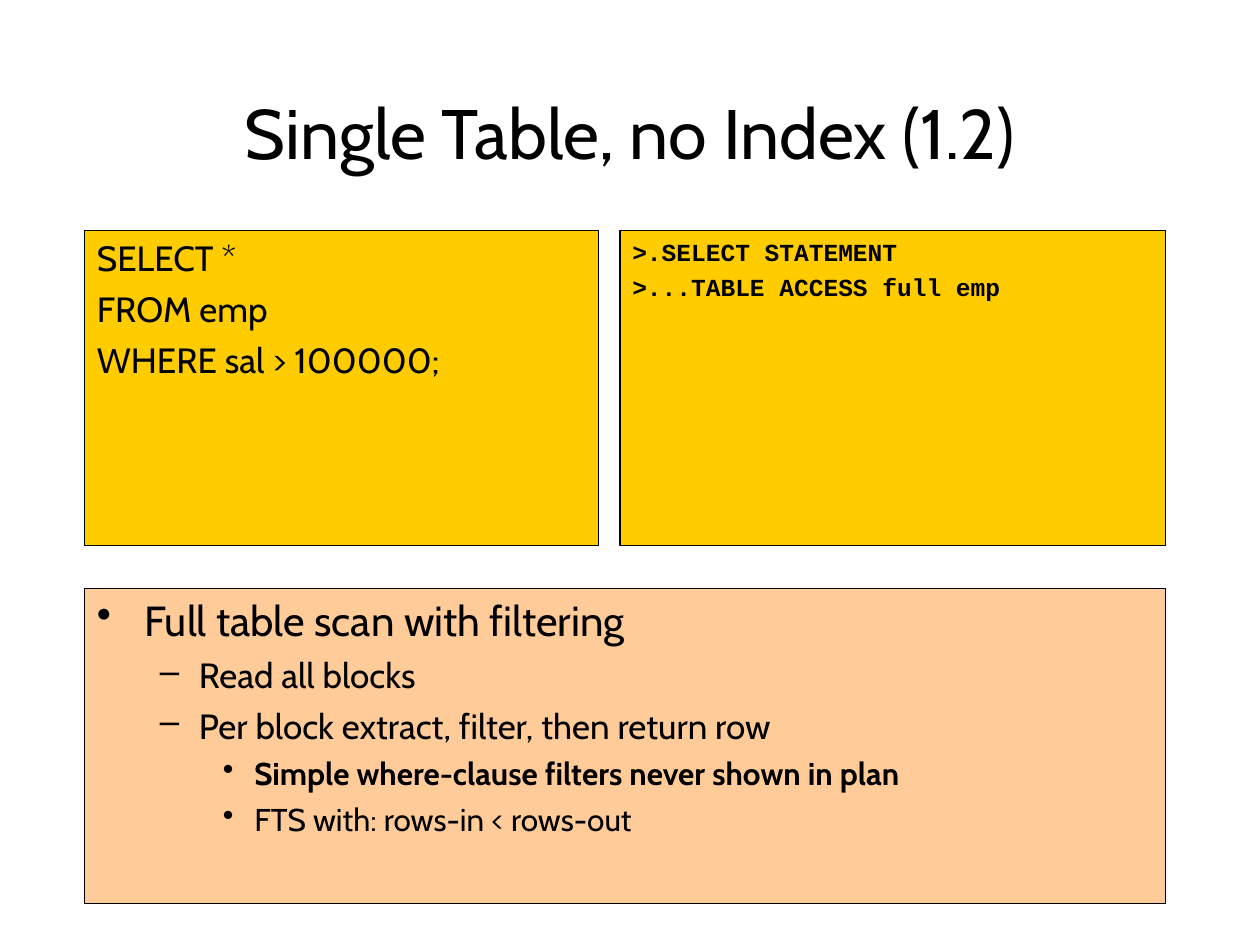
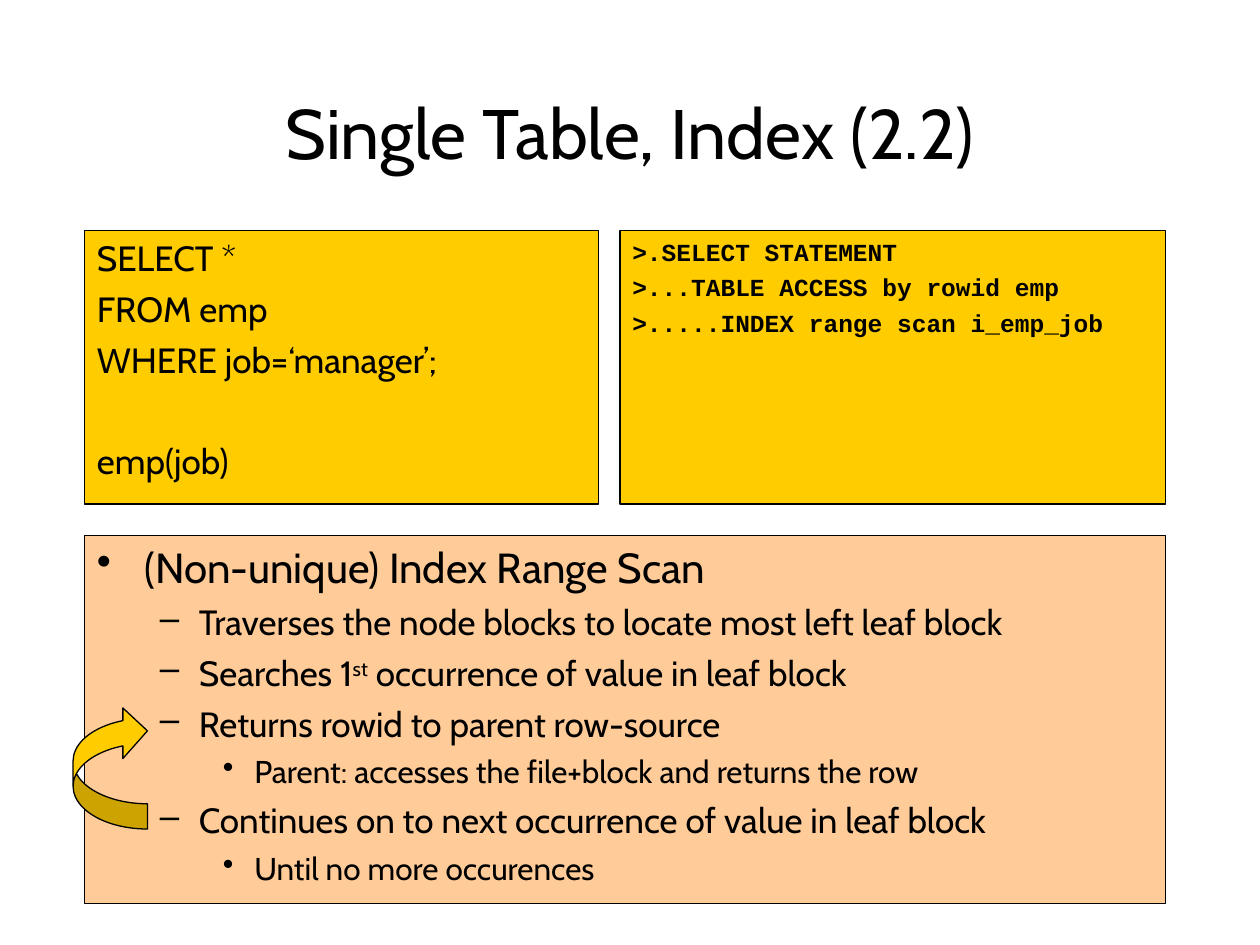
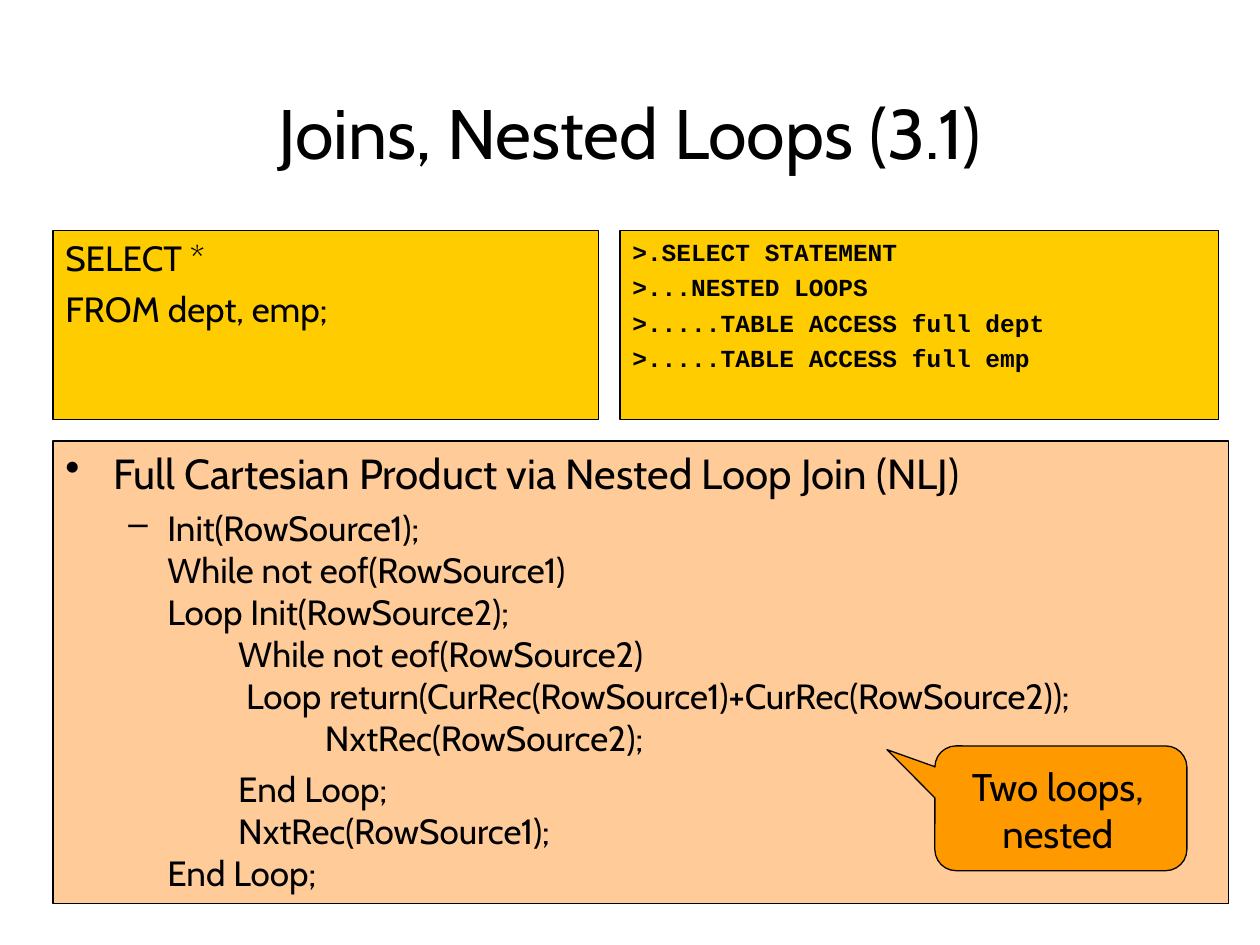
"""Build three slides that explain SQL execution plans."""
from dataclasses import dataclass, replace
from typing import Any

import lxml.etree
import pptx
import pptx.dml.color
import pptx.enum.shapes
import pptx.enum.text
import pptx.oxml.ns
import pptx.util

Inches = pptx.util.Inches
Pt = pptx.util.Pt
Shape = pptx.enum.shapes.MSO_SHAPE
Align = pptx.enum.text.PP_ALIGN
Anchor = pptx.enum.text.MSO_ANCHOR


@dataclass(frozen=True)
class Theme:
    ink: str = "000000"
    panel: str = "FFCC00"
    summary: str = "FFCC99"
    callout: str = "FF9900"
    text_font: str = "Cabin"
    code_font: str = "Courier New"
    title_size: float = 40
    point_size: float = 24
    callout_size: float = 22
    detail_size: float = 20
    remark_size: float = 18
    plan_size: float = 14
    outline: float = 0.75


THEME = Theme()


@dataclass(frozen=True)
class Style:
    size: float
    space_before: float = 0
    margin: float = 0
    hanging: float = 0
    bullet: str = ""
    level: int = 0
    font: str = THEME.text_font
    bold: bool = False
    alignment: Any = Align.LEFT


TITLE = Style(THEME.title_size, alignment=Align.CENTER)
CALLOUT = Style(THEME.callout_size, alignment=Align.CENTER)
QUERY = Style(THEME.detail_size, 5, 0.38, 0.38)
QUERY_APART = replace(QUERY, space_before=34)
PLAN = Style(THEME.plan_size, 3.5, 0.38, 0.38, font=THEME.code_font, bold=True)
POINT = Style(THEME.point_size, 6, 0.38, 0.38, "•")
DETAIL = Style(THEME.detail_size, 5, 0.81, 0.31, "–", 1)
DETAIL_MORE = replace(DETAIL, hanging=0, bullet="")
REMARK = Style(THEME.remark_size, 4.5, 1.25, 0.25, "•", 2)
REMARK_BOLD = replace(REMARK, bold=True)


@dataclass(frozen=True)
class Line:
    text: str
    style: Style
    raised: str = ""
    rest: str = ""


@dataclass(frozen=True)
class Area:
    left: float
    top: float
    width: float
    height: float

    def lengths(self) -> list[int]:
        return [Inches(n) for n in (self.left, self.top, self.width, self.height)]


@dataclass(frozen=True)
class Topic:
    title: str
    query: list[Line]
    plan: list[Line]
    summary: list[Line]
    left: float
    plan_width: float
    panel_height: float
    summary_top: float
    summary_width: float


TITLE_AREA = Area(0.75, 0.67, 8.5, 0.75)
PANEL_TOP, QUERY_RIGHT, PLAN_LEFT, SUMMARY_BOTTOM = 1.83, 4.75, 4.92, 7.17

LOOP_CODE = """Init(RowSource1);
While not eof(RowSource1)
Loop Init(RowSource2);
         While not eof(RowSource2)
          Loop return(CurRec(RowSource1)+CurRec(RowSource2));
                    NxtRec(RowSource2);"""
LOOP_END_CODE = """         End Loop;
         NxtRec(RowSource1);
End Loop;"""

TOPICS = [
    Topic(
        "Single Table, no Index (1.2)",
        [Line("SELECT *", QUERY), Line("FROM emp", QUERY), Line("WHERE sal > 100000;", QUERY)],
        [Line(">.SELECT STATEMENT", PLAN), Line(">...TABLE ACCESS full emp", PLAN)],
        [
            Line("Full table scan with filtering", POINT),
            Line("Read all blocks", DETAIL),
            Line("Per block extract, filter, then return row", DETAIL),
            Line("Simple where-clause filters never shown in plan", REMARK_BOLD),
            Line("FTS with: rows-in < rows-out", REMARK),
        ],
        0.67, 4.33, 2.5, 4.67, 8.58,
    ),
    Topic(
        "Single Table, Index (2.2)",
        [
            Line("SELECT *", QUERY),
            Line("FROM emp", QUERY),
            Line("WHERE job=‘manager’;", QUERY),
            Line("emp(job)", QUERY_APART),
        ],
        [
            Line(">.SELECT STATEMENT", PLAN),
            Line(">...TABLE ACCESS by rowid emp", PLAN),
            Line(">.....INDEX range scan i_emp_job", PLAN),
        ],
        [
            Line("(Non-unique) Index Range Scan", POINT),
            Line("Traverses the node blocks to locate most left leaf block", DETAIL),
            Line("Searches 1", DETAIL, "st", " occurrence of value in leaf block"),
            Line("Returns rowid to parent row-source", DETAIL),
            Line("Parent: accesses the file+block and returns the row", REMARK),
            Line("Continues on to next occurrence of value in leaf block", DETAIL),
            Line("Until no more occurences", REMARK),
        ],
        0.67, 4.33, 2.17, 4.25, 8.58,
    ),
    Topic(
        "Joins, Nested Loops (3.1)",
        [Line("SELECT *", QUERY), Line("FROM dept, emp;", QUERY)],
        [
            Line(">.SELECT STATEMENT", PLAN),
            Line(">...NESTED LOOPS", PLAN),
            Line(">.....TABLE ACCESS full dept", PLAN),
            Line(">.....TABLE ACCESS full emp", PLAN),
        ],
        [
            Line("Full Cartesian Product via Nested Loop Join (NLJ)", POINT),
            Line(LOOP_CODE, DETAIL),
            Line(LOOP_END_CODE, DETAIL_MORE),
        ],
        0.42, 4.75, 1.5, 3.5, 9.33,
    ),
]


def color(value: str) -> pptx.dml.color.RGBColor:
    return pptx.dml.color.RGBColor.from_string(value)


def set_format(target: Any, values: dict[str, Any]) -> None:
    for name, value in values.items():
        setattr(target, name, value)


def add_bullet(properties: Any, mark: str) -> None:
    qn = pptx.oxml.ns.qn
    if not mark:
        lxml.etree.SubElement(properties, qn("a:buNone"))
        return
    bullet_color = lxml.etree.SubElement(properties, qn("a:buClr"))
    lxml.etree.SubElement(bullet_color, qn("a:srgbClr"), val=THEME.ink)
    lxml.etree.SubElement(properties, qn("a:buChar"), char=mark)


def add_span(para: Any, text: str, style: Style) -> Any:
    span = para.add_run()
    span.text = text
    set_format(span.font, {"size": Pt(style.size), "name": style.font, "bold": style.bold})
    span.font.color.rgb = color(THEME.ink)
    return span


def write_lines(box: Any, lines: list[Line], anchor: Any = Anchor.TOP, wrap: bool = True) -> None:
    frame = box.text_frame
    set_format(frame, {
        "word_wrap": wrap,
        "vertical_anchor": anchor,
        "margin_left": Inches(0.1),
        "margin_right": Inches(0.1),
        "margin_top": Inches(0.05),
        "margin_bottom": Inches(0.05),
    })
    for index, line in enumerate(lines):
        style = line.style
        para = frame.add_paragraph() if index else frame.paragraphs[0]
        properties = para._p.get_or_add_pPr()
        properties.set("marL", str(Inches(style.margin)))
        properties.set("indent", str(-Inches(style.hanging)))
        add_bullet(properties, style.bullet)
        set_format(para, {
            "level": style.level,
            "alignment": style.alignment,
            "space_before": Pt(style.space_before if index else 0),
        })
        for row, text in enumerate(line.text.split("\n")):
            if row:
                para.add_line_break()
            add_span(para, text, style)
        if line.raised:
            raised = add_span(para, line.raised, style)
            raised._r.get_or_add_rPr().set("baseline", "30000")
            add_span(para, line.rest, style)


def add_filled(shapes: Any, kind: Any, area: Area, fill: str, outlined: bool = True) -> Any:
    box = shapes.add_shape(kind, *area.lengths())
    box.shadow.inherit = False
    box.fill.solid()
    box.fill.fore_color.rgb = color(fill)
    if outlined:
        box.line.color.rgb = color(THEME.ink)
        box.line.width = Pt(THEME.outline)
    else:
        box.line.fill.background()
    return box


def set_adjustments(box: Any, values: tuple[float, ...]) -> None:
    for index, value in enumerate(values):
        box.adjustments[index] = value


def add_topic(deck: Any, topic: Topic) -> Any:
    page = deck.slides.add_slide(deck.slide_layouts[6])
    title = page.shapes.add_textbox(*TITLE_AREA.lengths())
    write_lines(title, [Line(topic.title, TITLE)], Anchor.MIDDLE)
    summary = Area(topic.left, topic.summary_top, topic.summary_width,
                   SUMMARY_BOTTOM - topic.summary_top)
    plan = Area(PLAN_LEFT, PANEL_TOP, topic.plan_width, topic.panel_height)
    query = Area(topic.left, PANEL_TOP, QUERY_RIGHT - topic.left, topic.panel_height)
    for area, fill, lines in (
        (summary, THEME.summary, topic.summary),
        (plan, THEME.panel, topic.plan),
        (query, THEME.panel, topic.query),
    ):
        write_lines(add_filled(page.shapes, Shape.RECTANGLE, area, fill), lines)
    return page


def add_repeat_arrow(page: Any) -> None:
    area = Area(0.58, 5.6, 0.59, 0.98)
    arrow = add_filled(page.shapes, Shape.CURVED_RIGHT_ARROW, area, THEME.panel)
    set_adjustments(arrow, (0.34, 0.68, 0.33))
    arrow._element.spPr.get_or_add_xfrm().set("flipV", "1")


def add_loops_callout(page: Any) -> None:
    group = page.shapes.add_group_shape()
    bubble = add_filled(group.shapes, Shape.ROUNDED_RECTANGULAR_CALLOUT,
                        Area(7.42, 5.92, 2, 0.99), THEME.callout)
    set_adjustments(bubble, (-0.69, -0.47, 0.17))
    label = add_filled(group.shapes, Shape.RECTANGLE,
                       Area(7.53, 6.01, 1.73, 0.84), THEME.callout, outlined=False)
    write_lines(label, [Line("Two loops,", CALLOUT), Line("nested", CALLOUT)], wrap=False)


def main() -> None:
    deck = pptx.Presentation()
    set_format(deck, {"slide_width": Inches(10), "slide_height": Inches(7.5)})
    _, index_page, loops_page = [add_topic(deck, topic) for topic in TOPICS]
    add_repeat_arrow(index_page)
    add_loops_callout(loops_page)
    deck.save("out.pptx")


if __name__ == "__main__":
    main()
